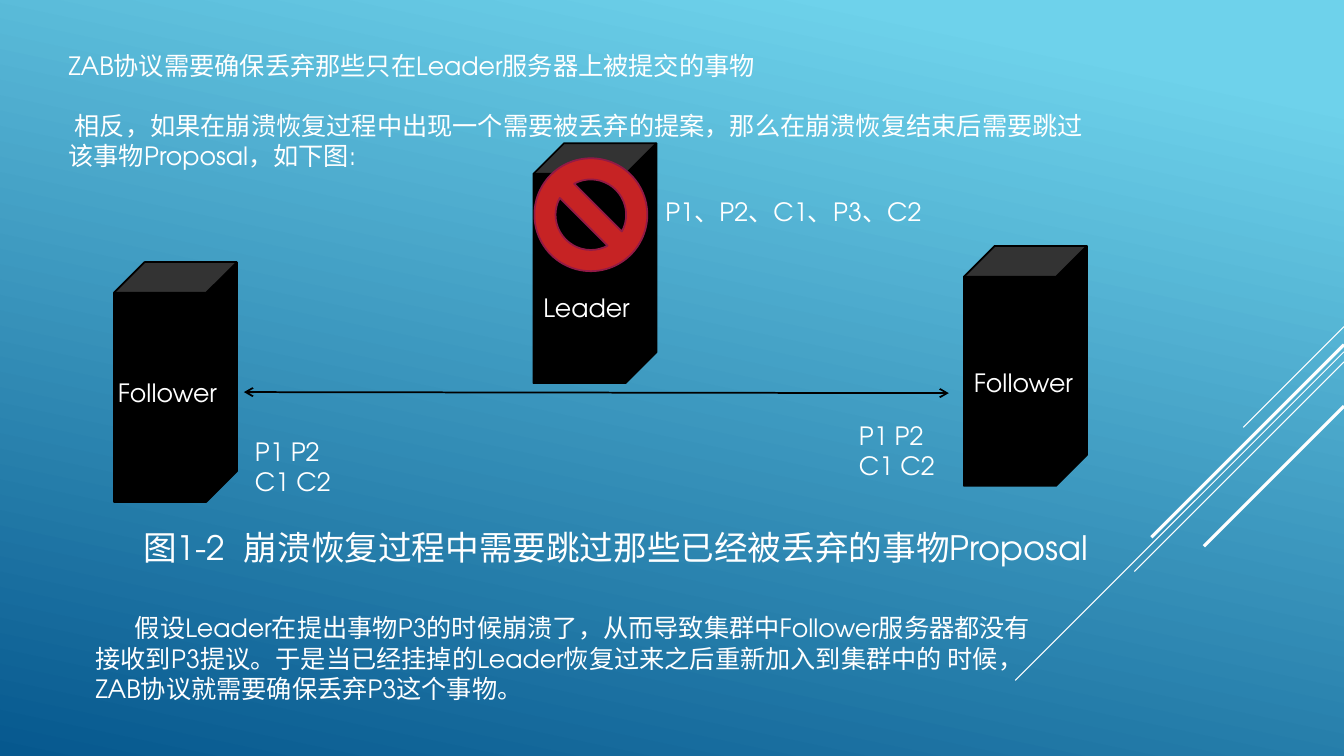
"""Build the slide on skipping discarded proposals during ZAB crash recovery."""
from typing import NamedTuple

from lxml.etree import SubElement
from pptx import Presentation
from pptx.dml.color import RGBColor
from pptx.enum.shapes import MSO_CONNECTOR, MSO_SHAPE
from pptx.enum.text import MSO_ANCHOR, MSO_AUTO_SIZE, PP_ALIGN
from pptx.oxml.ns import qn
from pptx.util import Inches, Pt

COLORS = {
    "sky": "6ED2EB", "deep": "06588E", "white": "FFFFFF",
    "black": "000000", "red": "C62324", "plum": "921A46",
}
FONT = "TeX Gyre Adventor"
FRAME_FORMAT = {
    "word_wrap": True,
    "auto_size": MSO_AUTO_SIZE.NONE,
    "vertical_anchor": MSO_ANCHOR.TOP,
}
PARAGRAPH_FORMAT = {
    "alignment": PP_ALIGN.LEFT, "space_before": Pt(0), "line_spacing": 1.0,
}


class Box(NamedTuple):
    """Position and size in inches."""
    left: float
    top: float
    width: float
    height: float


class Text(NamedTuple):
    """A text with its place, size, first-line indent and tab stop."""
    box: Box
    lines: tuple[str, ...]
    size: int = 18
    indent: float = 0
    tab: float = 0


class Line(NamedTuple):
    """A straight line with its end points in inches."""
    begin: tuple[float, float]
    end: tuple[float, float]
    width: float
    color: str = "white"
    arrows: bool = False


class Solid(NamedTuple):
    """A filled preset shape."""
    kind: MSO_SHAPE
    box: Box
    fill: str = "black"
    outline: str = "black"


STREAKS = [
    Line((13.33, top), (13.33 - run, top + run), width)
    for top, run, width in [
        (3.24, 1, 0.75), (3.49, 3.26, 0.75), (3.59, 2.08, 0.75),
        (3.42, 1.91, 2.25), (4.03, 1.39, 2.25),
    ]
]
SERVERS = [
    Solid(MSO_SHAPE.CUBE, Box(left, top, 1.22, 2.38))
    for left, top in [(1.13, 2.6), (5.29, 1.42), (9.56, 2.44)]
]
CRASH_SIGN = Solid(MSO_SHAPE.NO_SYMBOL, Box(5.3, 1.57, 1.12, 1.12), "red", "plum")
SYNC_ARROW = Line((2.42, 3.89), (9.41, 3.9), 1.25, "black", True)

HEADING = Text(Box(0.58, 0.45, 10.37, 0.4), ("ZAB协议需要确保丢弃那些只在Leader服务器上被提交的事物",))
INTRODUCTION = Text(
    Box(0.58, 1.04, 10.37, 0.71),
    ("相反，如果在崩溃恢复过程中出现一个需要被丢弃的提案，那么在崩溃恢复结束后需要跳过该事物Proposal，如下图:",),
    indent=0.06,
)
LABELS = [
    Text(Box(left, top, 1.35, 0.4), (role,))
    for left, top, role in [
        (1.07, 3.69, "Follower"), (9.56, 3.59, "Follower"), (5.29, 2.85, "Leader"),
    ]
]
LOGS = [Text(Box(6.5, 1.9, 3.17, 0.4), ("P1、P2、C1、P3、C2",))] + [
    Text(Box(left, top, 0.99, 0.7), ("P1 P2", "C1 C2"))
    for left, top in [(2.43, 4.28), (8.42, 4.12)]
]
EXPLANATION = Text(
    Box(0.85, 6.03, 9.6, 1),
    ("假设Leader在提出事物P3的时候崩溃了，从而导致集群中Follower服务器都没有接收到P3提议。"
     "于是当已经挂掉的Leader恢复过来之后重新加入到集群中的 时候，ZAB协议就需要确保丢弃P3这个事物。",),
    indent=0.39,
)
CAPTION = Text(
    Box(1.32, 5.18, 9.85, 0.5),
    ("图1-2\t崩溃恢复过程中需要跳过那些已经被丢弃的事物Proposal",), 24, tab=1.34,
)


def rgb(name: str) -> RGBColor:
    """Return the named colour."""
    return RGBColor.from_string(COLORS[name])


def apply(target, values: dict) -> None:
    """Set each attribute of the target from the values."""
    for name, value in values.items():
        setattr(target, name, value)


def write_text(shape, text: Text) -> None:
    """Place the shape, then fill and format its text."""
    apply(shape, {name: Inches(value) for name, value in text.box._asdict().items()})
    frame = shape.text_frame
    apply(frame, FRAME_FORMAT)
    frame.text = "\n".join(text.lines)
    for paragraph in frame.paragraphs:
        apply(paragraph, PARAGRAPH_FORMAT)
        apply(paragraph.font, {"name": FONT, "size": Pt(text.size)})
        properties = paragraph._p.get_or_add_pPr()
        properties.set("marL", "0")
        properties.set("indent", str(Inches(text.indent)))
        SubElement(properties, qn("a:buNone"))
        if text.tab:
            stops = SubElement(properties, qn("a:tabLst"))
            SubElement(stops, qn("a:tab"), pos=str(Inches(text.tab)), algn="l")
        properties.append(properties.find(qn("a:defRPr")))
        for run in paragraph.runs:
            apply(run.font, {"name": FONT, "size": Pt(text.size)})
            run.font.color.rgb = rgb("white")


def add_text(slide, text: Text) -> None:
    """Add a text box."""
    write_text(slide.shapes.add_textbox(*map(Inches, text.box)), text)


def add_line(slide, line: Line) -> None:
    """Add a connector, with arrowheads at both ends if wanted."""
    points = map(Inches, line.begin + line.end)
    connector = slide.shapes.add_connector(MSO_CONNECTOR.STRAIGHT, *points)
    connector.line.color.rgb = rgb(line.color)
    connector.line.width = Pt(line.width)
    if line.arrows:
        for end in ("a:headEnd", "a:tailEnd"):
            SubElement(connector.line._get_or_add_ln(), qn(end), type="arrow")
    SubElement(connector._element.spPr, qn("a:effectLst"))


def add_solid(slide, solid: Solid) -> None:
    """Add a filled and outlined shape."""
    shape = slide.shapes.add_shape(solid.kind, *map(Inches, solid.box))
    shape.shadow.inherit = False
    shape.fill.solid()
    shape.fill.fore_color.rgb = rgb(solid.fill)
    shape.line.color.rgb = rgb(solid.outline)
    shape.line.width = Pt(1.25)


def paint_background(slide) -> None:
    """Fill the background with the blue gradient."""
    fill = slide.background.fill
    fill.gradient()
    fill.gradient_angle = 258
    for stop, (color, position) in zip(fill.gradient_stops, [("sky", 0.1), ("deep", 1)]):
        stop.color.rgb = rgb(color)
        stop.position = position


def main() -> None:
    """Build and save the presentation."""
    presentation = Presentation()
    apply(presentation, {"slide_width": Inches(13.33), "slide_height": Inches(7.5)})
    slide = presentation.slides.add_slide(presentation.slide_layouts[1])
    paint_background(slide)
    write_text(slide.shapes.title, HEADING)
    write_text(slide.placeholders[1], INTRODUCTION)
    for streak in STREAKS:
        add_line(slide, streak)
    for solid in [*SERVERS, CRASH_SIGN]:
        add_solid(slide, solid)
    add_line(slide, SYNC_ARROW)
    for text in [*LABELS, *LOGS, EXPLANATION, CAPTION]:
        add_text(slide, text)
    presentation.save("out.pptx")


main()
